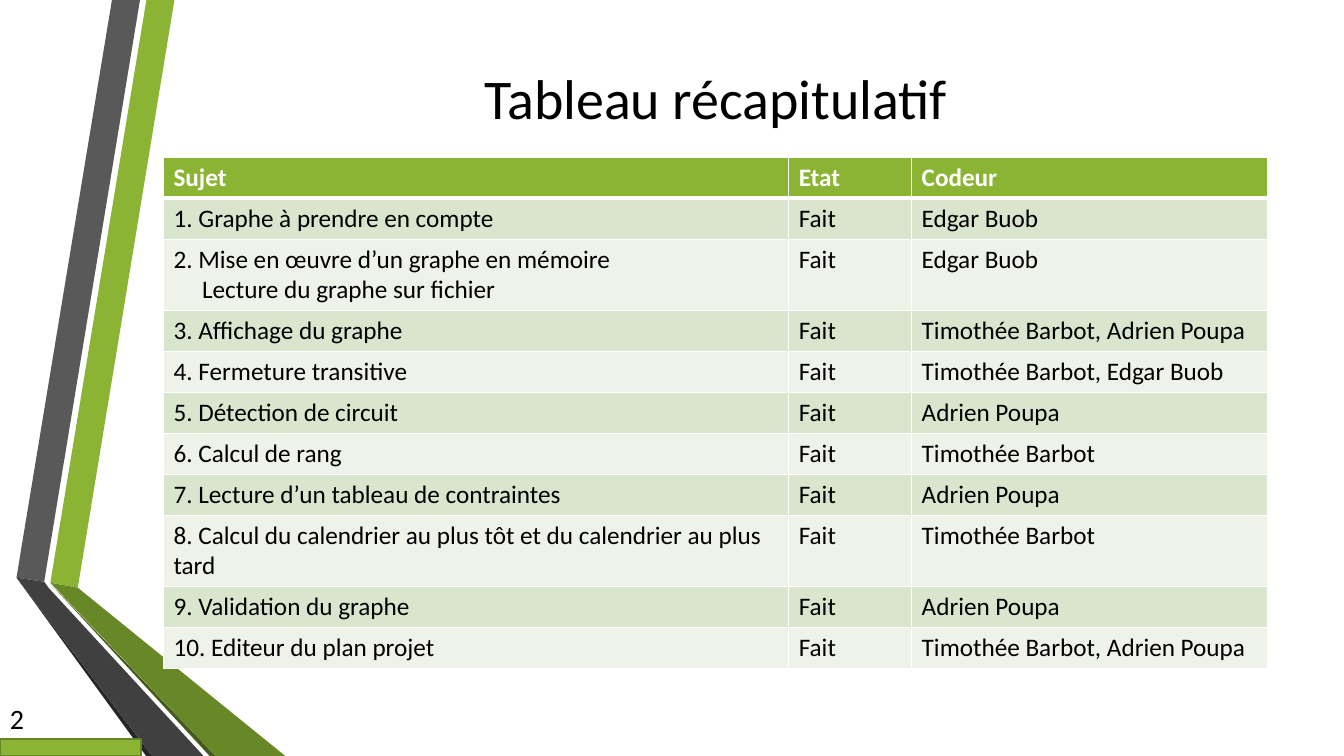
import pptx
import pptx.dml.color
import pptx.enum.shapes
import pptx.enum.text
import pptx.oxml.ns
import pptx.util
from dataclasses import dataclass
from lxml import etree

Pt = pptx.util.Pt
ALIGN = pptx.enum.text.PP_ALIGN
MIDDLE = pptx.enum.text.MSO_ANCHOR.MIDDLE


@dataclass(frozen=True)
class Theme:
    font: str = "Calibri"
    title_size: int = 40
    number_size: int = 20
    table_size: int = 18
    black: str = "000000"
    white: str = "FFFFFF"
    green: str = "8BB434"
    green_line: str = "678526"
    green_dark: str = "688727"
    green_shadow: str = "465A1A"
    gray: str = "595959"
    gray_dark: str = "404040"
    gray_shadow: str = "262626"
    bands: tuple = ("DAE5CE", "EEF2E8")


def rgb(color):
    return pptx.dml.color.RGBColor.from_string(color)


class SlideBuilder:
    def __init__(self, slide, theme):
        self.slide, self.theme = slide, theme

    def style(self, text_frame, size, color, align=ALIGN.LEFT, bold=False):
        for paragraph in text_frame.paragraphs:
            paragraph.alignment = align
            font = paragraph.font
            font.name, font.size, font.bold = self.theme.font, Pt(size), bold
            font.color.rgb = rgb(color)

    def paint(self, shape, fill, line=None, width=1.25):
        shape.shadow.inherit = False
        shape.fill.solid()
        shape.fill.fore_color.rgb = rgb(fill)
        if line:
            shape.line.color.rgb = rgb(line)
            shape.line.width = Pt(width)
        else:
            shape.line.fill.background()

    def polygon(self, points, fill):
        start, *others = [(Pt(x), Pt(y)) for x, y in points]
        builder = self.slide.shapes.build_freeform(*start, scale=1.0)
        builder.add_line_segments(others, close=True)
        self.paint(builder.convert_to_shape(), fill)

    def rectangle(self, left, top, width, height, fill, line):
        shape = self.slide.shapes.add_shape(
            pptx.enum.shapes.MSO_SHAPE.RECTANGLE, Pt(left), Pt(top), Pt(width), Pt(height))
        self.paint(shape, fill, line)

    def title(self, text, left, top, width, height):
        title = self.slide.shapes.title
        title.left, title.top, title.width, title.height = map(Pt, (left, top, width, height))
        title.text_frame.text = text
        title.text_frame.vertical_anchor = MIDDLE
        self.style(title.text_frame, self.theme.title_size, self.theme.black, ALIGN.CENTER)

    def text(self, text, left, top, width, height, size):
        box = self.slide.shapes.add_textbox(Pt(left), Pt(top), Pt(width), Pt(height))
        box.text_frame.word_wrap = True
        box.text_frame.vertical_anchor = MIDDLE
        box.text_frame.text = text
        self.style(box.text_frame, size, self.theme.black)

    def borders(self, cell, top, bottom):
        properties = cell._tc.get_or_add_tcPr()
        sides = {"lnL": 1, "lnR": 1, "lnT": top, "lnB": bottom}
        for index, (side, width) in enumerate(sides.items()):
            line = etree.Element(pptx.oxml.ns.qn(f"a:{side}"), w=str(Pt(width)))
            fill = etree.SubElement(line, pptx.oxml.ns.qn("a:solidFill"))
            etree.SubElement(fill, pptx.oxml.ns.qn("a:srgbClr"), val=self.theme.white)
            properties.insert(index, line)

    def table(self, rows, left, top, widths, heights, indent):
        theme = self.theme
        table = self.slide.shapes.add_table(
            len(rows), len(widths), Pt(left), Pt(top), Pt(sum(widths)), Pt(sum(heights))).table
        table.horz_banding = False
        for column, width in zip(table.columns, widths):
            column.width = Pt(width)
        for index, values in enumerate(rows):
            table.rows[index].height = Pt(heights[index])
            header = index == 0
            for cell, value in zip(table.rows[index].cells, values):
                cell.text = value
                cell.fill.solid()
                cell.fill.fore_color.rgb = rgb(theme.green if header else theme.bands[(index - 1) % 2])
                self.style(cell.text_frame, theme.table_size,
                           theme.white if header else theme.black, bold=header)
                for paragraph in cell.text_frame.paragraphs[1:]:
                    paragraph._p.get_or_add_pPr().set("marL", str(Pt(indent)))
                self.borders(cell, top=3 if index == 1 else 1, bottom=3 if header else 1)


presentation = pptx.Presentation()
presentation.slide_width, presentation.slide_height = Pt(960), Pt(540)
theme = Theme()
builder = SlideBuilder(presentation.slides.add_slide(presentation.slide_layouts[5]), theme)

# Folded ribbons on the left
ribbons = [
    ([(36, 416.2), (55.6, 419.8), (124.6, 0), (104.6, 0)], theme.green),
    ([(11.8, 412.6), (31.6, 415.6), (100, 0), (80, 0)], theme.gray),
    ([(11.8, 412.6), (104.4, 540), (108.7, 540)], theme.gray_shadow),
    ([(36, 416.9), (149.8, 540), (154.1, 540)], theme.green_shadow),
    ([(36, 416.2), (154.1, 540), (203.8, 540), (55.6, 419.8)], theme.green_dark),
    ([(11.8, 412.6), (108.7, 540), (145.4, 540), (34.6, 419.8), (31.6, 415.6)], theme.gray_dark),
]
for points, color in ribbons:
    builder.polygon(points, color)

# Title
LEFT = 116.8
builder.title("Tableau récapitulatif", LEFT, 0, 789, 138.2)

# Summary table: topics, state and coders
EDGAR, TIMOTHEE, ADRIEN = "Edgar Buob", "Timothée Barbot", "Adrien Poupa"
topics = [
    ("Graphe à prendre en compte", [EDGAR]),
    ("Mise en œuvre d’un graphe en mémoire\nLecture du graphe sur fichier", [EDGAR]),
    ("Affichage du graphe", [TIMOTHEE, ADRIEN]),
    ("Fermeture transitive", [TIMOTHEE, EDGAR]),
    ("Détection de circuit", [ADRIEN]),
    ("Calcul de rang", [TIMOTHEE]),
    ("Lecture d’un tableau de contraintes", [ADRIEN]),
    ("Calcul du calendrier au plus tôt et du calendrier au plus tard", [TIMOTHEE]),
    ("Validation du graphe", [ADRIEN]),
    ("Editeur du plan projet", [TIMOTHEE, ADRIEN]),
]
rows = [("Sujet", "Etat", "Codeur")]
rows += [(f"{number}. {topic}", "Fait", ", ".join(coders))
         for number, (topic, coders) in enumerate(topics, 1)]
two_line_rows = (2, 8)
heights = [51.2 if index in two_line_rows else 29.2 for index in range(len(rows))]
builder.table(rows, LEFT, 112.4, [446.6, 87.8, 254.4], heights, indent=20.4)

# Slide number and its bar
builder.text("2", 0, 499, 43.2, 28.8, theme.number_size)
builder.rectangle(0, 527.8, 100.8, 12.2, theme.green, theme.green_line)

presentation.save("out.pptx")
